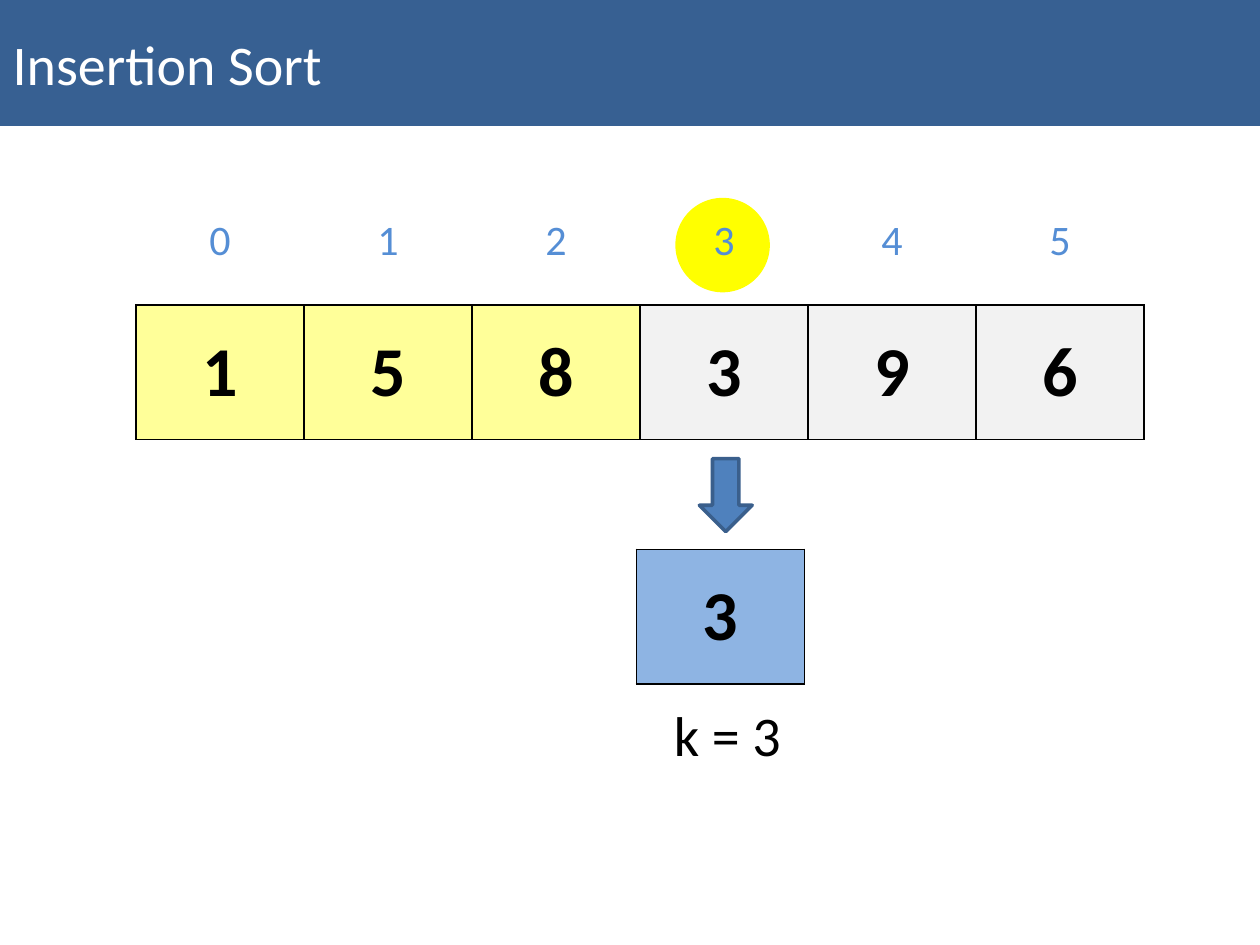
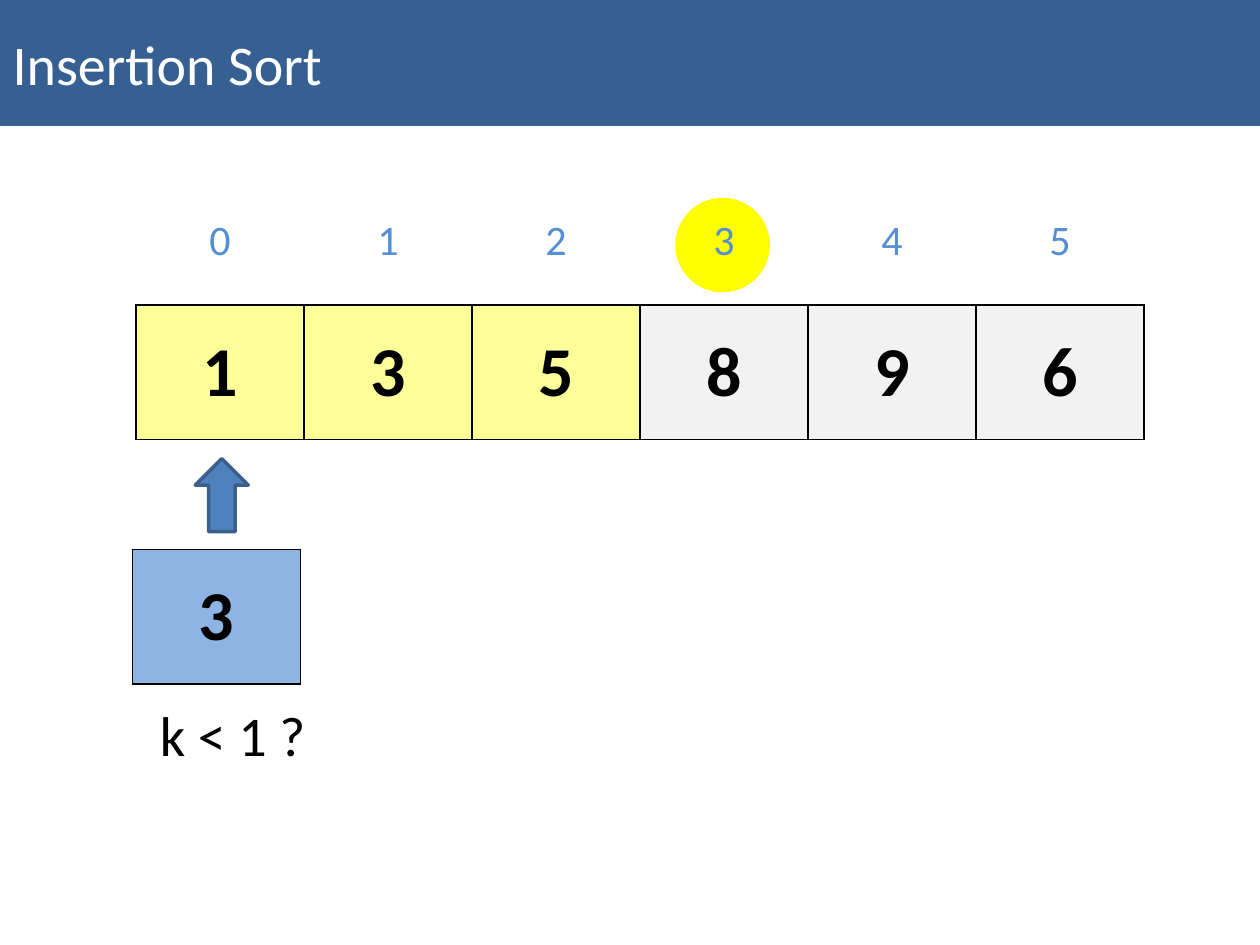
import lxml.etree
import pptx
import pptx.dml.color
import pptx.enum.shapes
import pptx.enum.text
import pptx.oxml.ns
import pptx.util

RGBColor = pptx.dml.color.RGBColor
WHITE = RGBColor(0xFF, 0xFF, 0xFF)
BLACK = RGBColor(0x00, 0x00, 0x00)
BAND_BLUE = RGBColor(0x37, 0x60, 0x92)
INDEX_BLUE = RGBColor(0x55, 0x8E, 0xD5)
KEY_BLUE = RGBColor(0x8E, 0xB4, 0xE3)
ARROW_BLUE = RGBColor(0x4F, 0x81, 0xBD)
ARROW_EDGE = RGBColor(0x3A, 0x5F, 0x8C)
MARKER_YELLOW = RGBColor(0xFF, 0xFF, 0x00)
SORTED_YELLOW = RGBColor(0xFF, 0xFF, 0x99)
UNSORTED_GREY = RGBColor(0xF2, 0xF2, 0xF2)

PRESET = pptx.enum.shapes.MSO_SHAPE
ALIGN = pptx.enum.text.PP_ALIGN
ANCHOR = pptx.enum.text.MSO_ANCHOR
AUTO_SIZE = pptx.enum.text.MSO_AUTO_SIZE

WIDTH, HEIGHT = 10, 7.5
GRID_LEFT = 1.08
COLUMN = 8 / 6
CELL_HEIGHT = 1.07
TEXT_FORMATS = {
    "title": {"size": 32, "bold": False, "color": WHITE},
    "value": {"size": 40, "bold": True, "color": BLACK},
    "index": {"size": 24, "bold": False, "color": INDEX_BLUE},
    "label": {"size": 32, "bold": False, "color": BLACK},
}


def column_left(column):
    return GRID_LEFT + column * COLUMN


class SortDeck:
    font_name = "Calibri"

    def __init__(self):
        self.presentation = pptx.Presentation()
        self.presentation.slide_width = pptx.util.Inches(WIDTH)
        self.presentation.slide_height = pptx.util.Inches(HEIGHT)
        self.slide = None

    def box(self, *lengths):
        return [pptx.util.Inches(length) for length in lengths]

    def format_text(self, paragraph, text, style, alignment):
        paragraph.text = text
        paragraph.alignment = alignment
        values = TEXT_FORMATS[style]
        font = paragraph.runs[0].font
        settings = {
            "name": self.font_name,
            "size": pptx.util.Pt(values["size"]),
            "bold": values["bold"],
        }
        for name, value in settings.items():
            setattr(font, name, value)
        font.color.rgb = values["color"]

    def start(self, text):
        layout = self.presentation.slide_layouts[5]
        self.slide = self.presentation.slides.add_slide(layout)
        title = self.slide.shapes.title
        places = zip(("left", "top", "width", "height"), self.box(0, 0, WIDTH, 1))
        for name, value in places:
            setattr(title, name, value)
        title.fill.solid()
        title.fill.fore_color.rgb = BAND_BLUE
        frame = title.text_frame
        frame.auto_size = AUTO_SIZE.NONE
        frame.vertical_anchor = ANCHOR.MIDDLE
        self.format_text(frame.paragraphs[0], text, "title", ALIGN.LEFT)

    def shape(self, preset, left, top, width, height, fill, edge=None):
        shape = self.slide.shapes.add_shape(preset, *self.box(left, top, width, height))
        shape.shadow.inherit = False
        shape.fill.solid()
        shape.fill.fore_color.rgb = fill
        if edge is None:
            shape.line.fill.background()
        else:
            shape.line.color.rgb = edge
            shape.line.width = pptx.util.Pt(2)
        return shape

    def border(self, cell, color):
        qualify = pptx.oxml.ns.qn
        properties = cell._tc.get_or_add_tcPr()
        for side in ("a:lnL", "a:lnR", "a:lnT", "a:lnB"):
            line = lxml.etree.SubElement(properties, qualify(side), w="12700")
            if color is None:
                lxml.etree.SubElement(line, qualify("a:noFill"))
            else:
                fill = lxml.etree.SubElement(line, qualify("a:solidFill"))
                lxml.etree.SubElement(fill, qualify("a:srgbClr"), val=str(color))

    def row(self, texts, left, top, height, style, fills=None, edge=None):
        count = len(texts)
        place = self.box(left, top, count * COLUMN, height)
        table = self.slide.shapes.add_table(1, count, *place).table
        for name in ("first_row", "horz_banding"):
            setattr(table, name, False)
        for position, text in enumerate(texts):
            table.columns[position].width = pptx.util.Inches(COLUMN)
            cell = table.cell(0, position)
            cell.vertical_anchor = ANCHOR.MIDDLE
            self.border(cell, edge)
            if fills is None:
                cell.fill.background()
            else:
                cell.fill.solid()
                cell.fill.fore_color.rgb = fills[position]
            self.format_text(cell.text_frame.paragraphs[0], text, style, ALIGN.CENTER)

    def label(self, text, left, top):
        frame = self.slide.shapes.add_textbox(*self.box(left, top, 4, 0.64)).text_frame
        frame.word_wrap = True
        frame.auto_size = AUTO_SIZE.SHAPE_TO_FIT_TEXT
        self.format_text(frame.paragraphs[0], text, "label", ALIGN.LEFT)

    def array(self, values, current):
        self.shape(PRESET.OVAL, column_left(current) + 0.28, 1.57, 0.75, 0.75, MARKER_YELLOW)
        fills = [SORTED_YELLOW if position < current else UNSORTED_GREY
                 for position in range(len(values))]
        self.row(values, GRID_LEFT, 2.42, CELL_HEIGHT, "value", fills, BLACK)
        indexes = [str(position) for position in range(len(values))]
        self.row(indexes, GRID_LEFT, 1.58, 0.67, "index")

    def key(self, value, column, text, indent, rotation):
        left = column_left(column)
        self.row([value], left - 0.03, 4.36, CELL_HEIGHT, "value", [KEY_BLUE], BLACK)
        self.label(text, left + indent, 5.51)
        arrow = self.shape(PRESET.DOWN_ARROW, left + 0.47, 3.64, 0.42, 0.58,
                           ARROW_BLUE, ARROW_EDGE)
        arrow.rotation = rotation


def main():
    deck = SortDeck()
    steps = [
        ("158396", 3, "k = 3", 0.17, 0),
        ("135896", 0, "k < 1 ?", 0.09, 180),
    ]
    for values, key_column, text, indent, rotation in steps:
        deck.start("Insertion Sort")
        deck.array(values, current=3)
        deck.key("3", key_column, text, indent, rotation)
    deck.presentation.save("out.pptx")


if __name__ == "__main__":
    main()
